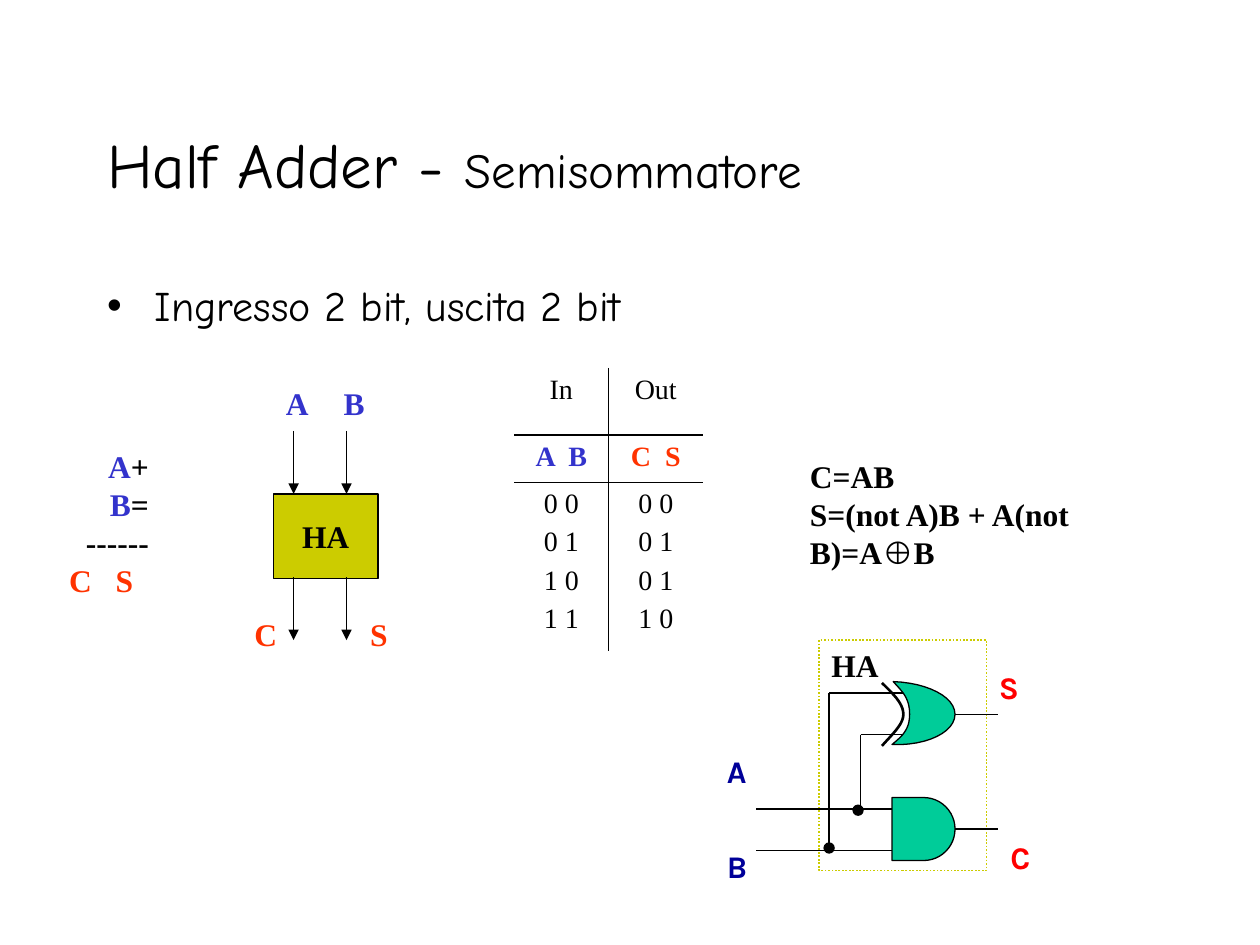
from pptx import Presentation
from pptx.dml.color import RGBColor
from pptx.enum.dml import MSO_LINE
from pptx.enum.shapes import MSO_CONNECTOR, MSO_SHAPE as SHAPE
from pptx.enum.text import MSO_ANCHOR as ANCHOR, MSO_AUTO_SIZE as AUTO, PP_ALIGN as ALIGN
from pptx.oxml.ns import qn
from pptx.util import Inches, Pt
from lxml.etree import SubElement

SERIF, HAND, LABEL = "Times New Roman", "Comic Neue", "Karla"
BLACK, BLUE, ORANGE, NAVY, RED = "000000", "3333CC", "FF3300", "000099", "FF0000"
GOLD, GREEN = "CCCC00", "00CC99"
rgb = RGBColor.from_string


def write(tf, text, size=18, font=SERIF, color=BLACK, bold=True,
          align=ALIGN.LEFT, wrap=False, gap=0):
    """Each paragraph is a string or a list of (text, overrides) runs."""
    tf.word_wrap = wrap
    for i, runs in enumerate([text] if isinstance(text, str) else text):
        p = tf.add_paragraph() if i else tf.paragraphs[0]
        p.alignment = align
        if i and gap:
            p.space_before = Pt(gap)
        for part, own in [(runs, {})] if isinstance(runs, str) else runs:
            r = p.add_run()
            r.text = part
            r.font.name = own.get("font", font)
            r.font.size = Pt(own.get("size", size))
            r.font.bold = bold
            r.font.color.rgb = rgb(own.get("color", color))
    return tf


def wire(x1, y1, x2, y2, arrow=False):
    c = s.shapes.add_connector(MSO_CONNECTOR.STRAIGHT, Inches(x1), Inches(y1),
                               Inches(x2), Inches(y2))
    c.line.color.rgb = rgb(BLACK)
    c.line.width = Pt(0.75)
    if arrow:
        SubElement(c.line._get_or_add_ln(), qn("a:tailEnd"), type="triangle")
    SubElement(c._element.spPr, qn("a:effectLst"))
    return c


prs = Presentation()
prs.slide_width, prs.slide_height = Inches(10), Inches(7.5)
s = prs.slides.add_slide(prs.slide_layouts[1])

# Title and bullet
title, body = s.placeholders
for sp, box in ((title, (0.75, 0.67, 8.75, 1.25)), (body, (0.75, 2.17, 8.5, 0.83))):
    sp.left, sp.top, sp.width, sp.height = map(Inches, box)
    sp.text_frame.auto_size = AUTO.NONE
title.text_frame.vertical_anchor = ANCHOR.MIDDLE
write(title.text_frame, [[("Half Adder - ", {}), ("Semisommatore", {"size": 28})]],
      size=36, font=HAND, bold=False, wrap=True)
write(body.text_frame, "Ingresso 2 bit, uscita 2 bit",
      size=24, font=HAND, bold=False, wrap=True)
p = body.text_frame.paragraphs[0]
p.space_before = Pt(0)
pPr = p._p.get_or_add_pPr()
pPr.set("marL", str(Inches(0.38)))
pPr.set("indent", str(-Inches(0.38)))
SubElement(pPr, qn("a:buChar"), char="•")

# Half adder block with its inputs and outputs
block = s.shapes.add_shape(SHAPE.RECTANGLE, Inches(2.17), Inches(3.92),
                           Inches(0.83), Inches(0.67))
block.fill.solid()
block.fill.fore_color.rgb = rgb(GOLD)
block.line.color.rgb = rgb(BLACK)
block.line.width = Pt(0.75)
block.shadow.inherit = False
block.text_frame.vertical_anchor = ANCHOR.MIDDLE
write(block.text_frame, "HA", align=ALIGN.CENTER)
for y in (3.42, 4.58):
    for x in (2.33, 2.75):
        wire(x, y, x, y + 0.5, arrow=True)

# Frame of the gate circuit
frame = s.shapes.add_shape(SHAPE.RECTANGLE, Inches(6.5), Inches(5.08),
                           Inches(1.33), Inches(1.83))
frame.fill.solid()
frame.fill.fore_color.rgb = rgb("FFFFFF")
frame.line.color.rgb = rgb(GOLD)
frame.line.width = Pt(1)
frame.line.dash_style = MSO_LINE.ROUND_DOT
frame.shadow.inherit = False

# XOR gate: outline and second input arc, traced from cubic curves
xor_body = [((7.08, 5.91), (7.15, 5.85), (7.22, 5.8), (7.22, 5.67)),
            ((7.22, 5.67), (7.22, 5.53), (7.15, 5.48), (7.09, 5.41)),
            ((7.09, 5.41), (7.36, 5.42), (7.58, 5.53), (7.58, 5.67)),
            ((7.58, 5.67), (7.58, 5.81), (7.36, 5.92), (7.08, 5.91))]
xor_arc = [((7, 5.42), (7.08, 5.5), (7.17, 5.58), (7.17, 5.67)),
           ((7.17, 5.67), (7.17, 5.75), (7.08, 5.83), (7, 5.92))]
for curves, closed, width in ((xor_body, True, 0.75), (xor_arc, False, 1.5)):
    points = []
    for curve in curves:
        for t in (i / 12 for i in range(1, 13)):
            weights = ((1 - t) ** 3, 3 * t * (1 - t) ** 2, 3 * t * t * (1 - t), t ** 3)
            points.append([Inches(sum(w * pt[k] for w, pt in zip(weights, curve)))
                           for k in (0, 1)])
    fb = s.shapes.build_freeform(Inches(curves[0][0][0]), Inches(curves[0][0][1]))
    fb.add_line_segments(points, close=closed)
    sp = fb.convert_to_shape()
    if closed:
        sp.fill.solid()
        sp.fill.fore_color.rgb = rgb(GREEN)
    else:
        sp.fill.background()
    sp.line.color.rgb = rgb(BLACK)
    sp.line.width = Pt(width)
    sp.shadow.inherit = False

# AND gate and junction dots
for kind, x, y, size, fill in ((SHAPE.FLOWCHART_DELAY, 7.08, 6.33, 0.5, GREEN),
                               (SHAPE.OVAL, 6.77, 6.39, 0.08, BLACK),
                               (SHAPE.OVAL, 6.54, 6.69, 0.08, BLACK)):
    sp = s.shapes.add_shape(kind, Inches(x), Inches(y), Inches(size), Inches(size))
    sp.fill.solid()
    sp.fill.fore_color.rgb = rgb(fill)
    sp.line.color.rgb = rgb(BLACK)
    sp.line.width = Pt(0.75)
    sp.shadow.inherit = False
    if kind == SHAPE.FLOWCHART_DELAY:
        and_gate = sp

# Circuit wires
for ends in ((6.83, 5.5, 7.17, 5.5), (6.83, 5.83, 7.17, 5.83), (7.58, 5.67, 7.92, 5.67),
             (6.75, 6.42, 7.08, 6.42), (6.75, 6.75, 7.08, 6.75),
             (6, 6.42, 6.75, 6.42), (6, 6.75, 6.75, 6.75),
             (6.83, 5.83, 6.83, 6.42), (6.58, 5.5, 6.58, 6.75), (6.58, 5.5, 6.92, 5.5)):
    wire(*ends)
wire(7.58, 6.58, 7.92, 6.58).begin_connect(and_gate, 3)

# Signal labels
for text, x, y, w, font, color in (
        ("A", 2.17, 3, 0.38, SERIF, BLUE), ("B", 2.63, 3, 0.36, SERIF, BLUE),
        ("S", 2.84, 4.83, 0.34, SERIF, ORANGE), ("C", 1.92, 4.83, 0.38, SERIF, ORANGE),
        ("A", 5.67, 5.92, 0.5, LABEL, NAVY), ("B", 5.67, 6.67, 0.67, LABEL, NAVY),
        ("S", 7.83, 5.25, 0.5, LABEL, RED), ("C", 7.92, 6.6, 0.5, LABEL, RED),
        ("HA", 6.5, 5.08, 0.62, SERIF, BLACK)):
    sp = s.shapes.add_textbox(Inches(x), Inches(y), Inches(w), Inches(0.4))
    write(sp.text_frame, text, font=font, color=color, wrap=font == LABEL)

# Column addition, with a tab between carry and sum
sp = s.shapes.add_textbox(Inches(0.45), Inches(3.5), Inches(0.83), Inches(1.3))
tf = write(sp.text_frame, [[("A", {"color": BLUE}), ("+", {})],
                           [("B", {"color": BLUE}), ("=", {})],
                           "------", [("C\tS", {"color": ORANGE})]],
           align=ALIGN.RIGHT, wrap=True)
p = tf.paragraphs[-1]
p.alignment = ALIGN.LEFT
tabs = SubElement(p._p.get_or_add_pPr(), qn("a:tabLst"))
SubElement(tabs, qn("a:tab"), pos=str(Inches(0.37)), algn="l")

# Output formulas
sp = s.shapes.add_textbox(Inches(6.33), Inches(3.58), Inches(3.28), Inches(0.7))
write(sp.text_frame, ["C=AB", [("S=(not A)B + A(not B)=A", {}),
                               ("⊕", {"font": "Arial"}), ("B", {})]], wrap=True)

# Truth table
rows = [("In", "Out"), ("A  B", "C  S"),
        (["0 0", "0 1", "1 0", "1 1"], ["0 0", "0 1", "0 1", "1 0"])]
tbl = s.shapes.add_table(3, 2, Inches(4.08), Inches(2.92), Inches(1.5), Inches(2.25)).table
tbl.first_row = tbl.horz_banding = False
for i, height in enumerate((0.53, 0.38, 1.33)):
    tbl.rows[i].height = Inches(height)
    for j in range(2):
        cell = tbl.cell(i, j)
        cell.margin_top = cell.margin_bottom = Inches(0.05)
        write(cell.text_frame, rows[i][j], size=16, bold=i == 1, align=ALIGN.CENTER,
              color=(BLUE, ORANGE)[j] if i == 1 else BLACK, wrap=True, gap=4)
        # Only the inner borders show
        tcPr = cell._tc.get_or_add_tcPr()
        for side, inner in (("L", j == 1), ("R", j == 0), ("T", i > 0), ("B", i < 2)):
            ln = SubElement(tcPr, qn("a:ln" + side), w=str(Pt(1.08)))
            fill = SubElement(ln, qn("a:solidFill" if inner else "a:noFill"))
            if inner:
                SubElement(fill, qn("a:srgbClr"), val=BLACK)
        cell.fill.background()

prs.save("out.pptx")
